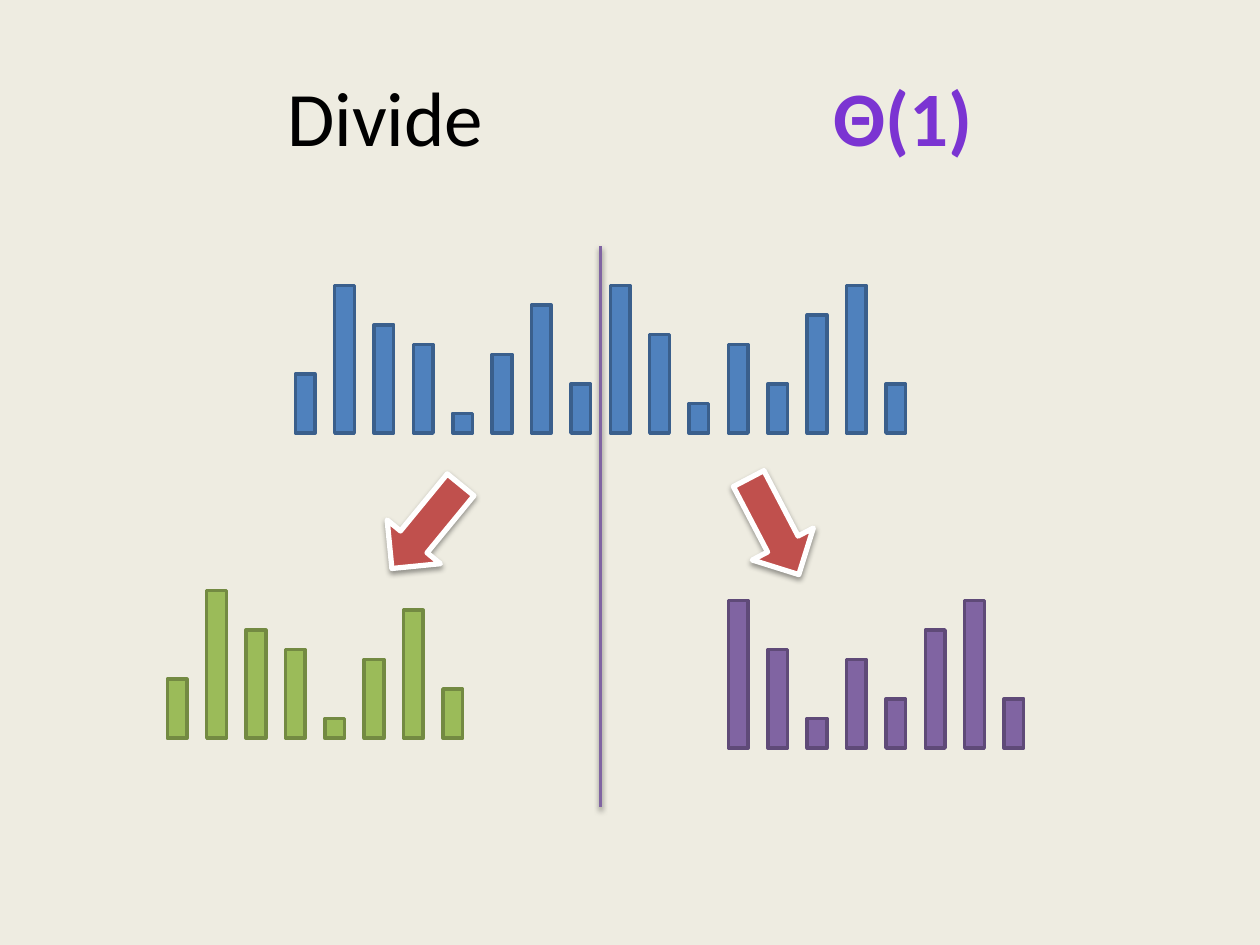
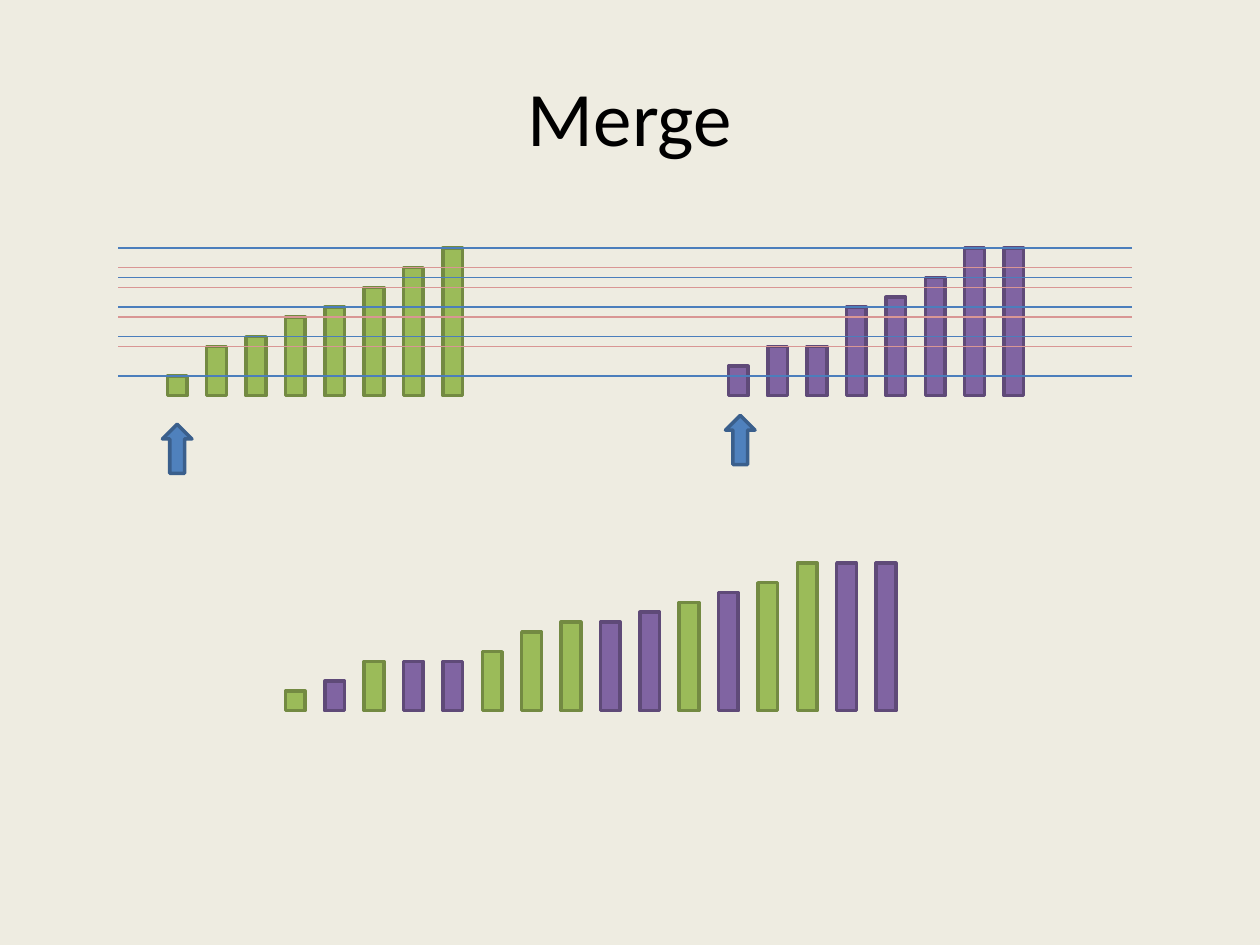
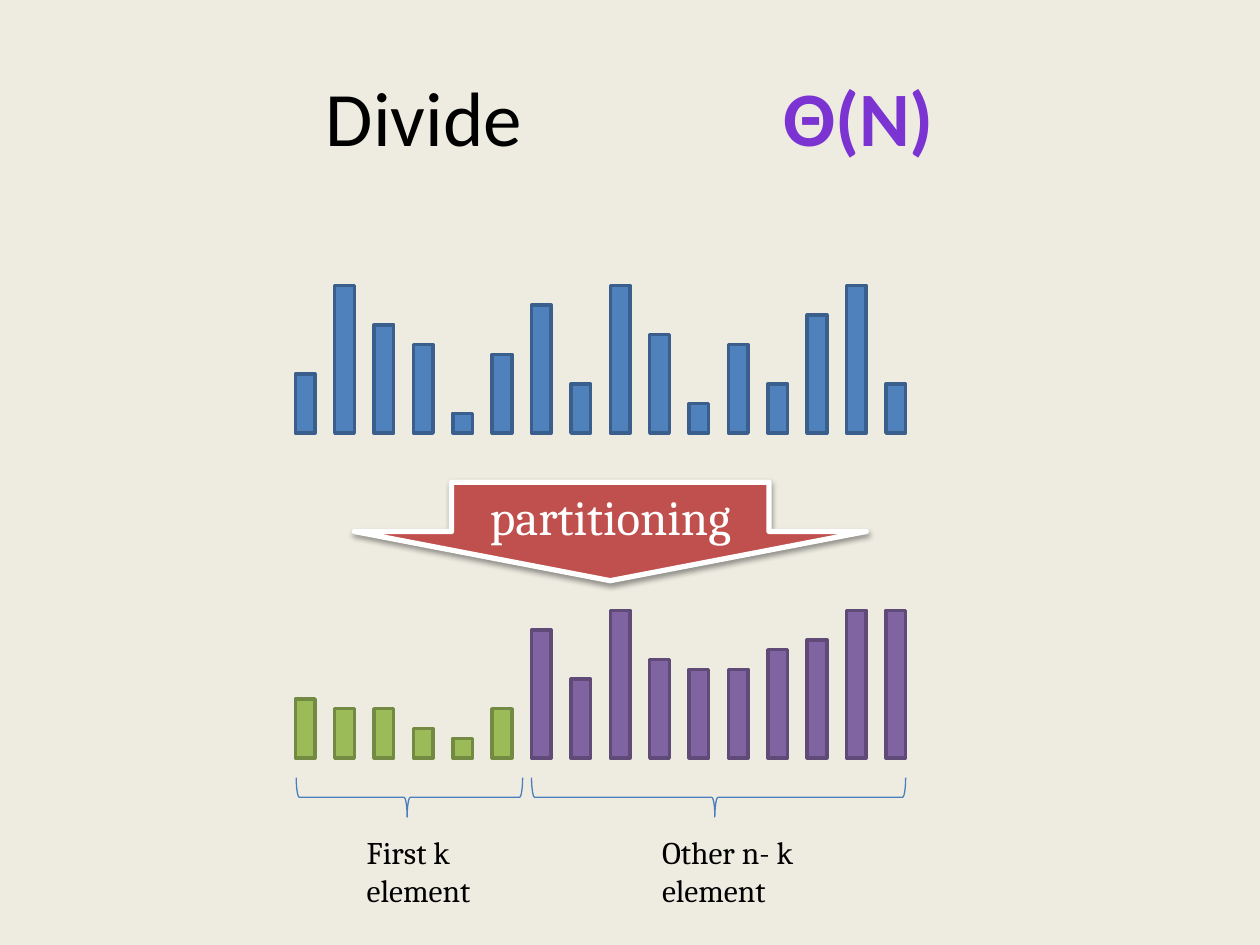
from dataclasses import dataclass

from lxml.etree import SubElement
from pptx import Presentation
from pptx.dml.color import RGBColor
from pptx.enum.shapes import MSO_CONNECTOR, MSO_SHAPE
from pptx.enum.text import MSO_ANCHOR, PP_ALIGN
from pptx.oxml.ns import qn
from pptx.util import Emu, Pt

PX_PER_INCH = 128
BAR_WIDTH, BAR_STEP, BAR_UNIT = 20, 40, 10

COLORS = {
    "background": "EEECE1",
    "text": "000000",
    "white": "FFFFFF",
    "cost": "7B34D2",
    "blue": "4F81BD",
    "blue edge": "3A5F8C",
    "green": "9BBB59",
    "green edge": "738A42",
    "purple": "8064A2",
    "purple edge": "5F4A78",
    "red": "C0504D",
    "blue line": "4B7EBC",
    "pink line": "D99694",
}

UNSORTED = (6, 15, 11, 9, 2, 8, 13, 5, 15, 10, 3, 9, 5, 12, 15, 5)
SORTED_LEFT = (2, 5, 6, 8, 9, 11, 13, 15)
SORTED_RIGHT = (3, 5, 5, 9, 10, 12, 15, 15)
FIRST_K = (6, 5, 5, 3, 2, 5)
OTHERS = (13, 8, 15, 10, 9, 9, 11, 12, 15, 15)
GUIDE_LEVELS = (2, 5, 6, 8, 9, 11, 12, 13, 15)


@dataclass(frozen=True)
class Bar:
    height: int
    color: str


@dataclass(frozen=True)
class BarRow:
    left: int
    bottom: int
    bars: list[Bar]


@dataclass(frozen=True)
class Figure:
    kind: MSO_SHAPE
    left: int
    top: int
    width: int
    height: int
    fill: str | None
    line: str
    line_width: float
    rotation: float = 0
    adjustments: tuple[float, ...] = ()
    shadow: bool = False


@dataclass(frozen=True)
class Caption:
    text: str
    left: int
    width: int


def px(length: int) -> Emu:
    return Emu(round(length * 914400 / PX_PER_INCH))


def rgb(name: str) -> RGBColor:
    return RGBColor.from_string(COLORS[name])


def bars_of(heights: tuple[int, ...], color: str) -> list[Bar]:
    return [Bar(height, color) for height in heights]


def set_effects(shape, shadow: bool) -> None:
    """Replace the theme effects, once fill and line are set."""
    effects = SubElement(shape.element.spPr, qn("a:effectLst"))
    if shadow:
        outer = SubElement(effects, qn("a:outerShdw"), blurRad=str(Pt(3.1)),
                           dist=str(Pt(1.6)), dir="5400000", rotWithShape="0")
        black = SubElement(outer, qn("a:srgbClr"), val=COLORS["text"])
        SubElement(black, qn("a:alpha"), val="38000")


def format_span(span, font: str, size: int, color: str) -> None:
    span.font.name = font
    span.font.size = Pt(size)
    span.font.color.rgb = rgb(color)


def add_slide(deck, title: str, cost: str = "", gap: int = 0):
    """Add a titled slide; gap is the space in points before the cost."""
    page = deck.slides.add_slide(deck.slide_layouts[5])
    box = page.shapes.title
    box.left, box.top, box.width, box.height = px(64), px(38), px(1152), px(160)
    box.text_frame.vertical_anchor = MSO_ANCHOR.MIDDLE
    para = box.text_frame.paragraphs[0]
    para.text = title
    para.alignment = PP_ALIGN.CENTER
    if cost:
        for text in (" ", cost):
            para.add_run().text = text
    for span in para.runs:
        format_span(span, "Calibri", 44, "text")
    if cost:
        spacer, cost_span = para.runs[1:]
        spacer.font._element.set("spc", str(gap * 100))
        cost_span.font.bold = True
        cost_span.font.color.rgb = rgb("cost")
    return page


def add_figure(page, figure: Figure):
    shape = page.shapes.add_shape(figure.kind, px(figure.left), px(figure.top),
                                  px(figure.width), px(figure.height))
    shape.rotation = figure.rotation
    for index, value in enumerate(figure.adjustments):
        shape.adjustments[index] = value
    if figure.fill:
        shape.fill.solid()
        shape.fill.fore_color.rgb = rgb(figure.fill)
    else:
        shape.fill.background()
    shape.line.color.rgb = rgb(figure.line)
    shape.line.width = Pt(figure.line_width)
    set_effects(shape, figure.shadow)
    return shape


def add_bars(page, row: BarRow) -> None:
    for index, bar in enumerate(row.bars):
        height = bar.height * BAR_UNIT
        add_figure(page, Figure(MSO_SHAPE.RECTANGLE, row.left + index * BAR_STEP,
                                row.bottom - height, BAR_WIDTH, height,
                                bar.color, f"{bar.color} edge", 2))


def add_line(page, start: tuple[int, int], end: tuple[int, int], color: str,
             width: float, shadow: bool = False) -> None:
    line = page.shapes.add_connector(MSO_CONNECTOR.STRAIGHT,
                                     *map(px, start), *map(px, end))
    line.line.color.rgb = rgb(color)
    line.line.width = Pt(width)
    set_effects(line, shadow)


def add_caption(page, caption: Caption) -> None:
    box = page.shapes.add_textbox(px(caption.left), px(840), px(caption.width), px(91))
    box.text_frame.word_wrap = True
    box.text_frame.text = caption.text
    format_span(box.text_frame.paragraphs[0].runs[0], "Cambria", 18, "text")


def build_halving(deck) -> None:
    page = add_slide(deck, "Divide", "Θ(1)", 190)
    half = len(UNSORTED) // 2
    for row in (BarRow(300, 440, bars_of(UNSORTED, "blue")),
                BarRow(170, 750, bars_of(UNSORTED[:half], "green")),
                BarRow(740, 760, bars_of(UNSORTED[half:], "purple"))):
        add_bars(page, row)
    add_line(page, (610, 250), (610, 820), "purple", 2, shadow=True)
    for left, rotation in ((378, 129.4), (731, 62.4)):
        add_figure(page, Figure(MSO_SHAPE.RIGHT_ARROW, left, 500, 110, 70,
                                "red", "white", 3, rotation, shadow=True))


def build_merge(deck) -> None:
    page = add_slide(deck, "Merge")
    sources_bottom = 402
    left_bars = bars_of(SORTED_LEFT, "green")
    right_bars = bars_of(SORTED_RIGHT, "purple")
    merged = sorted(left_bars + right_bars, key=lambda bar: bar.height)
    for row in (BarRow(170, sources_bottom, left_bars),
                BarRow(740, sources_bottom, right_bars),
                BarRow(290, 722, merged)):
        add_bars(page, row)
    for index, level in enumerate(GUIDE_LEVELS):
        y = sources_bottom - level * BAR_UNIT
        color = "pink line" if index % 2 else "blue line"
        add_line(page, (120, y), (1150, y), color, 0.75)
    for left, top in ((165, 431), (737, 422)):
        add_figure(page, Figure(MSO_SHAPE.UP_ARROW, left, top, 30, 50,
                                "blue", "blue edge", 2))


def build_partitioning(deck) -> None:
    page = add_slide(deck, "Divide", "Θ(N)", 139)
    arrow = add_figure(page, Figure(MSO_SHAPE.DOWN_ARROW, 360, 490, 520, 100,
                                    "red", "white", 3,
                                    adjustments=(0.62, 0.5), shadow=True))
    arrow.text_frame.text = "partitioning"
    arrow.text_frame.vertical_anchor = MSO_ANCHOR.MIDDLE
    para = arrow.text_frame.paragraphs[0]
    para.alignment = PP_ALIGN.CENTER
    format_span(para.runs[0], "Cambria", 28, "white")

    add_bars(page, BarRow(300, 440, bars_of(UNSORTED, "blue")))
    add_bars(page, BarRow(300, 770, bars_of(FIRST_K, "green") + bars_of(OTHERS, "purple")))
    for left, top, length in ((396, 695, 230), (710, 620, 380)):
        add_figure(page, Figure(MSO_SHAPE.LEFT_BRACE, left, top, 40, length,
                                None, "blue line", 0.75, 270, (0.08, 0.49)))
    for caption in (Caption("First k element", 360, 140),
                    Caption("Other n- k element", 660, 180)):
        add_caption(page, caption)


def main() -> None:
    deck = Presentation()
    deck.slide_width, deck.slide_height = px(1280), px(960)
    background = deck.slide_master.background.fill
    background.solid()
    background.fore_color.rgb = rgb("background")
    build_halving(deck)
    build_merge(deck)
    build_partitioning(deck)
    deck.save("out.pptx")


if __name__ == "__main__":
    main()
